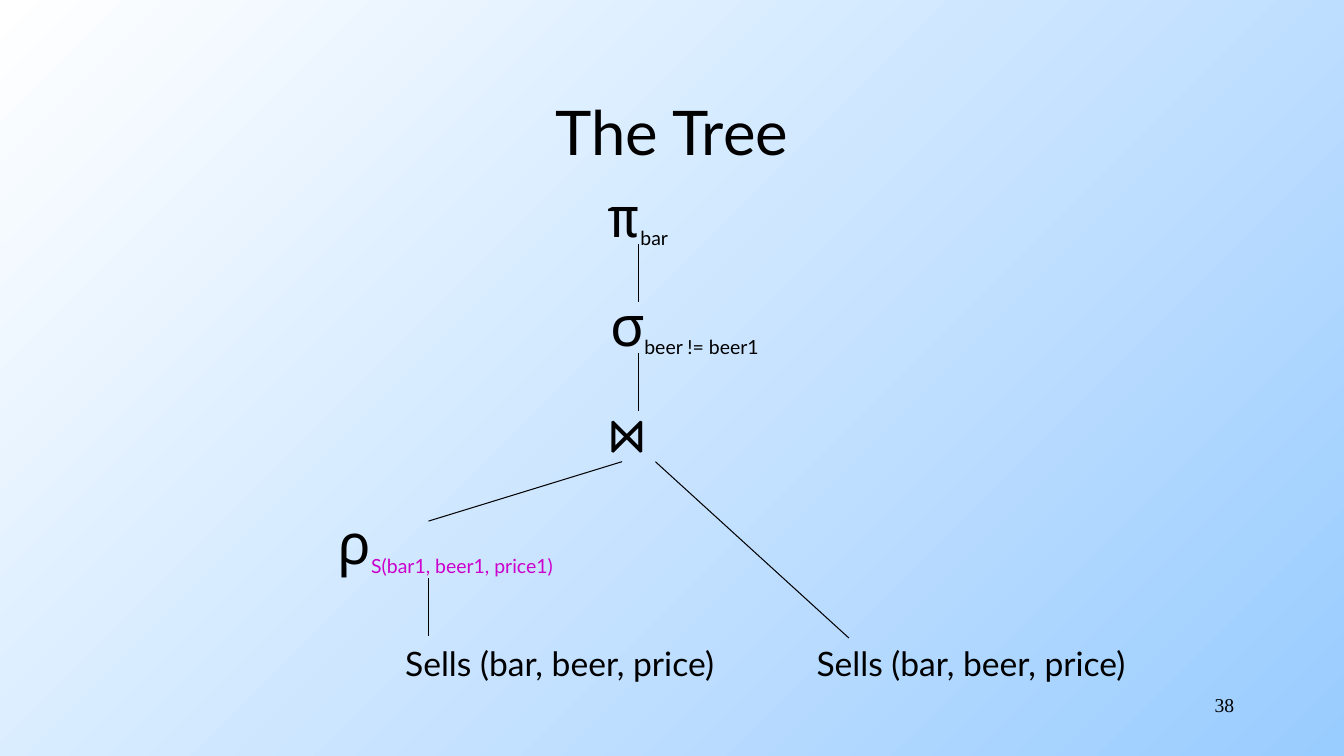
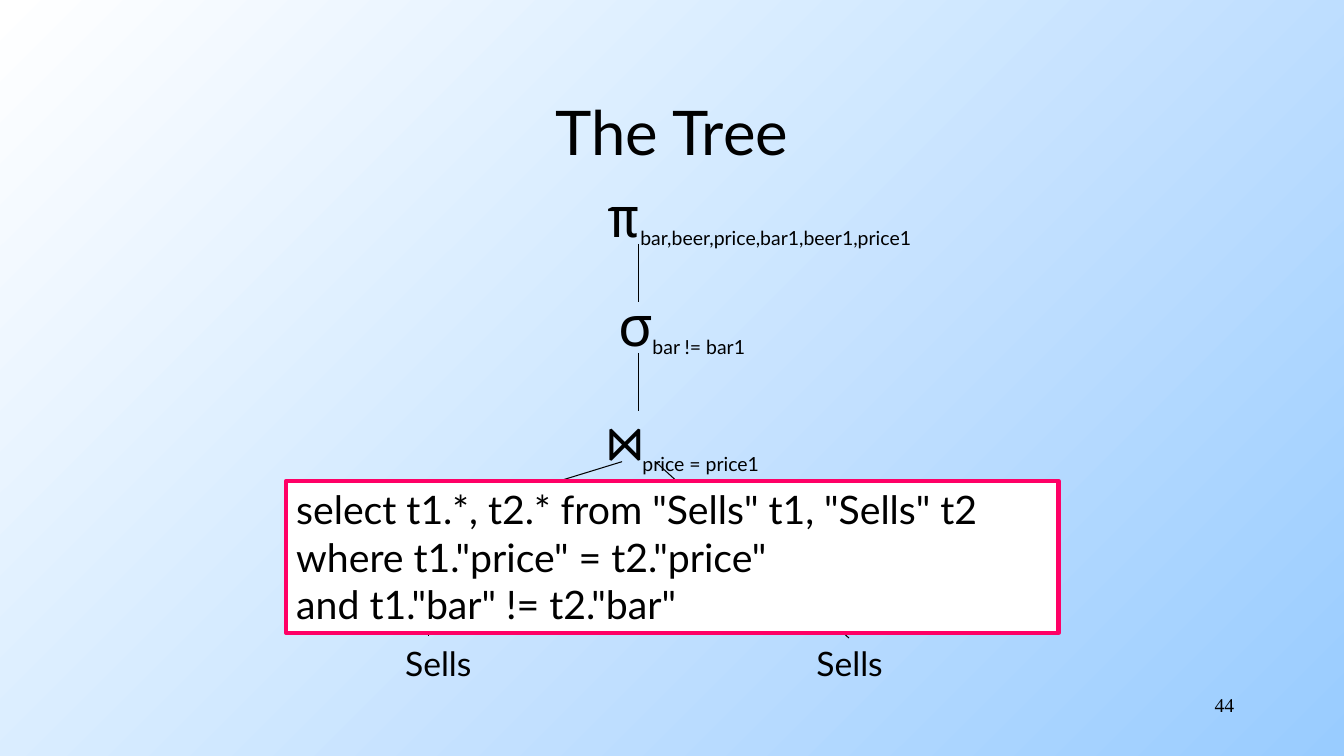
"""Build two slides that show relational algebra queries as trees."""
from dataclasses import dataclass

from pptx import Presentation
from pptx.dml.color import RGBColor as Rgb
from pptx.enum import shapes, text
from pptx.oxml import parse_xml
from pptx.oxml.ns import nsdecls
from pptx.util import Inches, Pt


@dataclass(frozen=True)
class Theme:
    ink: str = "000000"
    white: str = "FFFFFF"
    sky: str = "99CCFF"
    pink: str = "FF0066"
    plum: str = "CC00CC"
    body: str = "Lato"
    sign: str = "Noto Sans Mono"
    serif: str = "Times New Roman"
    head: int = 44
    op: int = 40
    code: int = 28
    leaf: int = 24
    foot: int = 14


T = Theme()
LEFT, MID = text.PP_ALIGN.LEFT, text.PP_ALIGN.CENTER
RIGHT = text.PP_ALIGN.RIGHT
TOP, CENTRE = text.MSO_ANCHOR.TOP, text.MSO_ANCHOR.MIDDLE


def put(par, words, size, font=T.body, ink=T.ink, sub=False):
    """Add one run to a paragraph."""
    run = par.add_run()
    run.text = words
    run.font.size = Pt(size)
    run.font.name = font
    run.font.color.rgb = Rgb.from_string(ink)
    if sub:
        run.font._element.set("baseline", "-25000")


def box(slide, area, align=LEFT, anchor=TOP, wrap=True):
    """Add a text box and return its first paragraph."""
    frame = slide.shapes.add_textbox(*map(Inches, area)).text_frame
    frame.word_wrap = wrap
    frame.vertical_anchor = anchor
    par = frame.paragraphs[0]
    par.alignment = align
    return par


EDGES = [
    (6.33, 2.42, 6.33, 3),
    (6.33, 3.5, 6.33, 4.08),
    (6.17, 4.58, 4.25, 5.17),
    (6.5, 4.58, 8.42, 6.33),
    (4.25, 5.73, 4.25, 6.31),
]
TREES = [
    ("38", "Sells (bar, beer, price)", 3.42, [
        (5.92, 1.75, 0.95, "π", "bar", T.ink),
        (5.96, 2.83, 1.94, "σ", "beer != beer1", T.ink),
        (5.96, 3.91, 0.76, "⋈", "", T.ink),
        (3.25, 5, 2.73, "ρ", "S(bar1, beer1, price1)", T.plum),
    ], []),
    ("44", "Sells", 0.87, [
        (5.92, 1.75, 3.77, "π", "bar,beer,price,bar1,beer1,price1", T.ink),
        (6.04, 2.83, 1.73, "σ", "bar != bar1", T.ink),
        (5.94, 3.99, 2.14, "⋈", "price = price1", T.ink),
    ], [
        'select t1.*, t2.* from "Sells" t1, "Sells" t2',
        'where t1."price" = t2."price"',
        'and t1."bar" != t2."bar"',
    ]),
]

deck = Presentation()
deck.slide_width, deck.slide_height = Inches(13.33), Inches(7.5)
back = deck.slide_master.background.fill
back.gradient()
back.gradient_angle = 315
for stop, tone in zip(back.gradient_stops, (T.white, T.sky)):
    stop.color.rgb = Rgb.from_string(tone)

for page, leaf, width, nodes, query in TREES:
    slide = deck.slides.add_slide(deck.slide_layouts[6])
    put(box(slide, (9.56, 6.83, 2.78, 0.5), RIGHT), page, T.foot, T.serif)
    put(box(slide, (1, 0.67, 11.33, 1.25), MID, CENTRE), "The Tree", T.head)

    for left in (3.92, 8):
        put(box(slide, (left, 6.33, width, 0.51), wrap=False), leaf, T.leaf)

    for edge in EDGES:
        line = slide.shapes.add_connector(
            shapes.MSO_CONNECTOR.STRAIGHT, *map(Inches, edge))
        line.line.color.rgb = Rgb.from_string(T.ink)
        line.line.width = Pt(0.75)
        line._element.spPr.append(parse_xml(f"<a:effectLst {nsdecls('a')}/>"))

    for left, top, wide, sign, sub, ink in nodes:
        par = box(slide, (left, top, wide, 0.77), wrap=False)
        put(par, sign, T.op, T.sign)
        if sub:
            put(par, sub, T.leaf, ink=ink, sub=True)

    if query:
        panel = slide.shapes.add_shape(
            shapes.MSO_SHAPE.RECTANGLE, *map(Inches, (2.84, 4.77, 7.66, 1.51)))
        panel.shadow.inherit = False
        panel.fill.solid()
        panel.fill.fore_color.rgb = Rgb.from_string(T.white)
        panel.line.color.rgb = Rgb.from_string(T.pink)
        panel.line.width = Pt(3)
        frame = panel.text_frame
        frame.word_wrap = True
        frame.vertical_anchor = TOP
        par = frame.paragraphs[0]
        par.alignment = LEFT
        for row, words in enumerate(query):
            if row:
                par.add_line_break()
            put(par, words, T.code)

deck.save("out.pptx")
